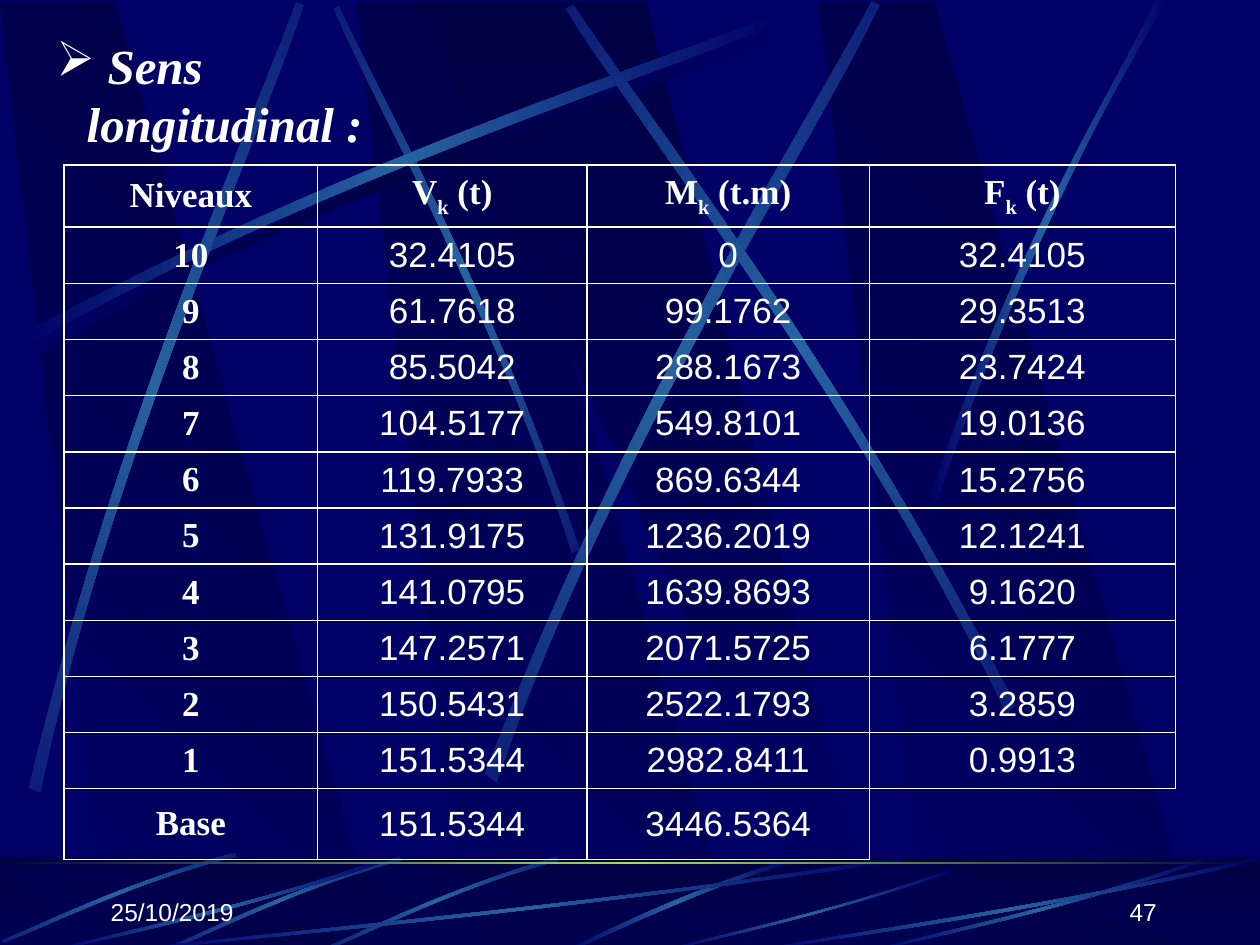
import math
from pptx import Presentation, util as u
from pptx.dml.color import RGBColor
from pptx.enum import shapes, text
from pptx.oxml import parse_xml
from pptx.oxml.ns import nsdecls, qn

NAVY, DARK, STEEL, LIME, WHITE = "000066", "000044", "2663A0", "9CE157", "FFFFFF"
SERIF, SANS = "Times New Roman", "Arial"
MID, CENTER = text.MSO_ANCHOR.MIDDLE, text.PP_ALIGN.CENTER


def px(n):
    return u.Emu(round(n * 9144))


def rgb(value):
    return RGBColor.from_string(value)


def turn(points, degrees):
    c, n = math.cos(math.radians(degrees)), math.sin(math.radians(degrees))
    return [(x * c - y * n, x * n + y * c) for x, y in points]


def assign(target, values):
    for name, value in values.items():
        setattr(target, name, value)


class Deck:
    """Holds the slide and the style shared by its elements."""

    def __init__(self, width, height):
        self.prs = Presentation()
        assign(self.prs, {"slide_width": px(width), "slide_height": px(height)})
        self.s = self.prs.slides.add_slide(self.prs.slide_layouts[6])
        fill = self.s.background.fill
        fill.solid()
        fill.fore_color.rgb = rgb(NAVY)

    def paint(self, sp, colors, angle=0, alpha=100):
        sp.shadow.inherit = False
        sp.line.fill.background()
        if len(colors) == 1:
            sp.fill.solid()
            sp.fill.fore_color.rgb = rgb(colors[0])
            clr = sp._element.spPr.find(qn("a:solidFill"))[0]
            clr.append(parse_xml(f'<a:alpha {nsdecls("a")} val="{alpha * 1000}"/>'))
            return
        step = 100000 // (len(colors) - 1)
        stops = "".join(f'<a:gs pos="{i * step}"><a:srgbClr val="{c}"/></a:gs>'
                        for i, c in enumerate(colors))
        sp.fill.gradient()
        old = sp._element.spPr.find(qn("a:gradFill"))
        old.getparent().replace(old, parse_xml(
            f'<a:gradFill {nsdecls("a")} rotWithShape="1"><a:gsLst>{stops}</a:gsLst>'
            f'<a:lin ang="{angle * 60000}" scaled="1"/></a:gradFill>'))

    def rect(self, x, y, w, h, colors, angle=0, alpha=100):
        sp = self.s.shapes.add_shape(shapes.MSO_SHAPE.RECTANGLE, px(x), px(y), px(w), px(h))
        self.paint(sp, colors, angle, alpha)

    def outline(self, points, colors, angle=0):
        start, *rest = [(px(x), px(y)) for x, y in points]
        fb = self.s.shapes.build_freeform(*start)
        fb.add_line_segments(rest, close=True)
        sp = fb.convert_to_shape()
        self.paint(sp, colors, angle)
        return sp

    def streak(self, points, rotation=0, dx=0, dy=0, colors=(NAVY, STEEL, NAVY)):
        moved = [(x + dx, y + dy) for x, y in points]
        sp = self.outline(turn(moved, -rotation), colors)
        lines = list(sp._element.iter(qn("a:lnTo")))[:7]
        for group in (lines[:3], lines[4:]):
            curve = parse_xml(f'<a:cubicBezTo {nsdecls("a")}/>')
            group[0].addprevious(curve)
            for line in group:
                curve.append(line[0])
                line.getparent().remove(line)
        middle = (sp.left + sp.width / 2, sp.top + sp.height / 2)
        cx, cy = turn([middle], rotation)[0]
        assign(sp, {"left": round(cx - sp.width / 2), "top": round(cy - sp.height / 2),
                    "rotation": rotation})

    def add_text(self, p, words, size, font=SANS, bold=False, italic=False, base=0):
        r = p.add_run()
        r.text = words
        assign(r.font, {"size": u.Pt(size), "name": font, "bold": bold, "italic": italic})
        r.font.color.rgb = rgb(WHITE)
        if base:
            r._r.get_or_add_rPr().set("baseline", str(base * 1000))

    def label(self, x, y, w, h, words, size, frame, align=None, bullet=None, **style):
        tf = self.s.shapes.add_textbox(px(x), px(y), px(w), px(h)).text_frame
        assign(tf, {"word_wrap": True, **frame})
        p = tf.paragraphs[0]
        p.alignment = align
        if bullet:
            pPr = p._p.get_or_add_pPr()
            pPr.set("marL", str(px(24)))
            pPr.set("indent", str(-px(24)))
            pPr.append(parse_xml(f'<a:buChar {nsdecls("a")} char="{bullet}"/>'))
        self.add_text(p, words, size, **style)

    def cell(self, cell, runs, widths, **style):
        tcPr = cell._tc.get_or_add_tcPr()
        for side, width in zip("LRTB", widths):
            fill = f'<a:solidFill><a:srgbClr val="{WHITE}"/></a:solidFill>' if width else "<a:noFill/>"
            tcPr.append(parse_xml(
                f'<a:ln{side} {nsdecls("a")} w="{u.Pt(width)}">{fill}</a:ln{side}>'))
        cell.fill.background()
        cell.vertical_anchor = MID
        p = cell.text_frame.paragraphs[0]
        p.alignment = CENTER
        for words, base in runs:
            self.add_text(p, words, 20, base=base, **style)

    def table(self, x, y, cols, heights, rows):
        tb = self.s.shapes.add_table(len(rows), len(cols), px(x), px(y),
                                     px(sum(cols)), px(sum(heights))).table
        assign(tb, {"first_row": False, "horz_banding": False})
        for col, w in zip(tb.columns, cols):
            col.width = px(w)
        for row, h in zip(tb.rows, heights):
            row.height = px(h)
        for i, row in enumerate(rows):
            for j, runs in enumerate(row):
                runs = [(runs, 0)] if isinstance(runs, str) else runs
                head = i == 0 or j == 0
                widths = (1.5 if j == 0 else 1, 1, 1, 1) if runs else (1, 0, 1, 0)
                self.cell(tb.cell(i, j), runs, widths,
                          font=SERIF if head else SANS, bold=head)


RISING = [(14, 267), (278, 125), (518, 51), (620, 10), (623, 16), (522, 61), (248, 143), (17, 277)]
UPPER = [
    (45, [(460, 436), (391, 234), (302, 77), (269, 5), (265, 7), (295, 79), (398, 258), (454, 439)]),
    (0, RISING),
    (311.7, [(23, 625), (93, 334), (197, 105), (235, 2), (241, 4), (207, 109), (86, 368), (32, 629)]),
    (321.6, [(385, 614), (498, 320), (638, 102), (692, 1), (698, 4), (649, 108), (486, 355), (394, 621)]),
    (34.7, [(806, 560), (670, 293), (516, 95), (455, 4), (449, 7), (507, 101), (685, 325), (799, 567)]),
    (0, [(738, 394), (814, 173), (888, 66), (917, 0), (927, 0), (836, 145), (769, 322), (744, 397)]),
]
SHORT = [(317, 680), (230, 705), (162, 740), (131, 753), (132, 755), (163, 743), (240, 703), (319, 683)]
SWEEP = [(308, 683), (193, 723), (88, 744), (43, 755), (42, 754), (86, 741), (206, 718), (307, 680)]
LOWER = [
    (0, 0, [(627, 682), (537, 709), (477, 742), (448, 754), (453, 755), (490, 738), (571, 700), (628, 685)]),
    (315, 125, SHORT),
    (315, 0, SHORT),
    (315, 0, [(186, 677), (99, 700), (33, 734), (2, 746), (3, 748), (34, 737), (110, 698), (188, 680)]),
    (0, 0, [(717, 683), (449, 723), (206, 744), (103, 755), (100, 754), (202, 741), (480, 718), (714, 680)]),
    (0, 0, SWEEP),
    (0, 0, [(758, 691), (658, 726), (567, 745), (528, 755), (527, 754), (565, 743), (669, 722), (757, 689)]),
    (0, 650, SWEEP),
    (0, 0, [(1000, 683), (827, 723), (669, 744), (602, 755), (600, 754), (666, 741), (846, 718), (998, 680)]),
]
VALUES = """10 32.4105 0 32.4105
9 61.7618 99.1762 29.3513
8 85.5042 288.1673 23.7424
7 104.5177 549.8101 19.0136
6 119.7933 869.6344 15.2756
5 131.9175 1236.2019 12.1241
4 141.0795 1639.8693 9.1620
3 147.2571 2071.5725 6.1777
2 150.5431 2522.1793 3.2859
1 151.5344 2982.8411 0.9913"""


def panels(d, top, bottom):
    for x in (283, 0, 650):
        d.outline([(x + 86, bottom), (x + 302, bottom), (x + 91, top), (x, top)], (NAVY, DARK), 315)
    d.outline([(333, top), (658, bottom), (694, bottom), (513, top)], (DARK, NAVY), 90)


def main():
    d = Deck(1000, 750)
    panels(d, 1, 752)
    d.streak(RISING, dx=6, dy=8, colors=(NAVY, DARK, NAVY))
    for rotation, points in UPPER:
        d.streak(points, rotation)
    d.rect(0, 680, 1000, 75, (DARK, NAVY), 90)
    panels(d, 688, 755)
    d.rect(0, 680, 1000, 75, (DARK,), alpha=50)
    for rotation, dx, points in LOWER:
        d.streak(points, rotation, dx)
    d.rect(0, 684, 1000, 2, (DARK, LIME, DARK))

    footer = {"vertical_anchor": text.MSO_ANCHOR.BOTTOM}
    d.label(78, 690, 208, 50, "25/10/2019", 14, footer)
    d.label(720, 690, 208, 50, "47", 14, footer, text.PP_ALIGN.RIGHT)
    d.label(35, 23, 366, 103, " Sens longitudinal :", 28, {"margin_right": px(60)},
            bullet="➢", font=SERIF, bold=True, italic=True)

    header = ["Niveaux"] + [[(name, 0), ("k", -30), (f" ({unit})", 0)]
                            for name, unit in (("V", "t"), ("M", "t.m"), ("F", "t"))]
    body = [line.split() for line in VALUES.splitlines()]
    base = ["Base", "151.5344", "3446.5364", []]
    heights = [49] + [(551 - 49 - 56) / len(body)] * len(body) + [56]
    d.table(51, 131, (201, 214, 224, 243), heights, [header, *body, base])
    d.prs.save("out.pptx")


if __name__ == "__main__":
    main()
